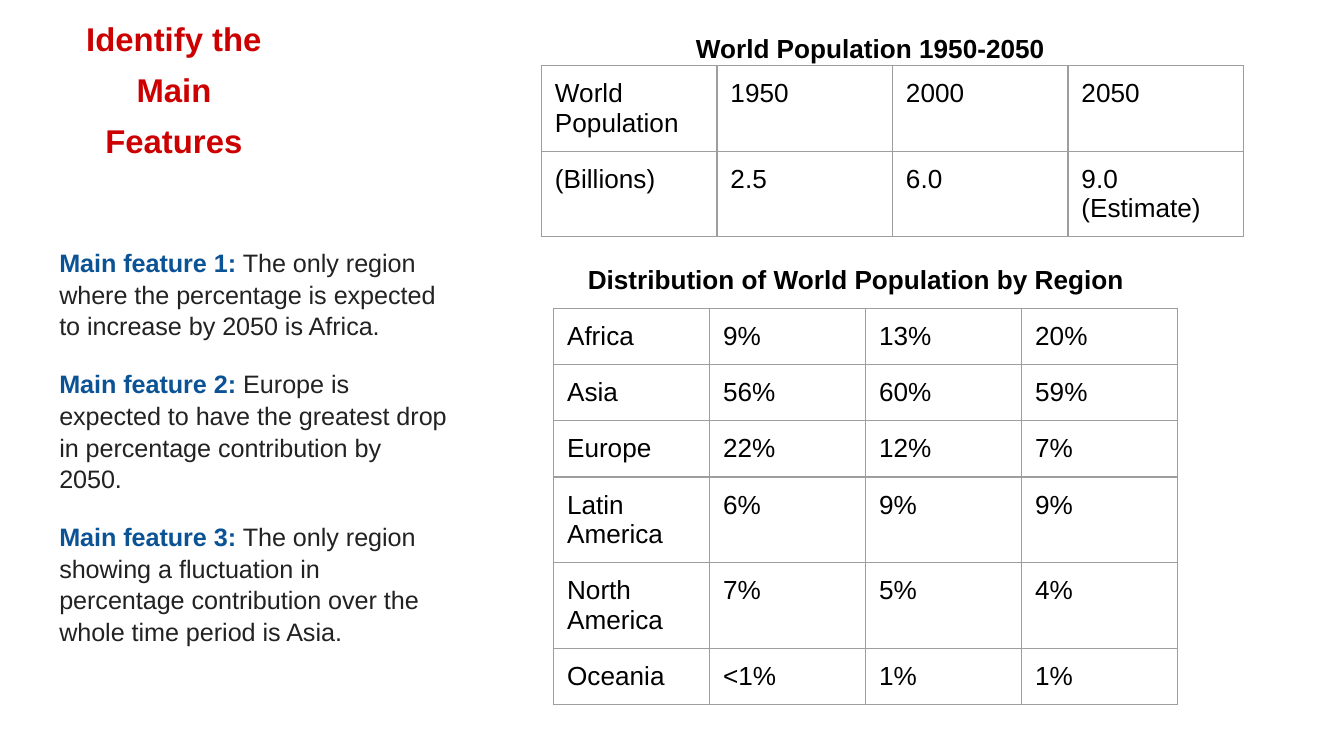
from lxml.etree import SubElement
from pptx import Presentation
from pptx.dml.color import RGBColor
from pptx.enum.text import MSO_ANCHOR, MSO_AUTO_SIZE, PP_ALIGN
from pptx.oxml.ns import qn
from pptx.util import Pt

COLORS = {
    "title": "CC0000",
    "label": "0B5394",
    "body": "222222",
    "table": "000000",
    "border": "9E9E9E",
}


def add_text(paragraph, text, size=14, color="table", bold=False):
    run = paragraph.add_run()
    run.text = text
    run.font.name = "Arial"
    run.font.size = Pt(size)
    run.font.bold = bold
    run.font.color.rgb = RGBColor.from_string(COLORS[color])


class FeatureSlide:
    inset = Pt(7.2)
    border_width = Pt(0.75)
    table_frame = Pt(236.2)

    def __init__(self, presentation):
        self.slide = presentation.slides.add_slide(presentation.slide_layouts[5])

    def prepare(self, frame, top_inset=inset):
        frame.word_wrap = True
        frame.auto_size = MSO_AUTO_SIZE.NONE
        frame.vertical_anchor = MSO_ANCHOR.TOP
        frame.margin_left = frame.margin_right = frame.margin_bottom = self.inset
        frame.margin_top = top_inset

    def title(self, text, left, top, width, height):
        heading = self.slide.shapes.title
        heading.left, heading.top = Pt(left), Pt(top)
        heading.width, heading.height = Pt(width), Pt(height)
        self.prepare(heading.text_frame)
        paragraph = heading.text_frame.paragraphs[0]
        paragraph._p.get_or_add_pPr().set("marL", str(Pt(2.2)))
        paragraph.alignment = PP_ALIGN.CENTER
        paragraph.line_spacing = 1.3
        add_text(paragraph, text, size=17.6, color="title", bold=True)

    def features(self, findings, left, top, width, height):
        box = self.slide.shapes.add_textbox(Pt(left), Pt(top), Pt(width), Pt(height))
        frame = box.text_frame
        self.prepare(frame, top_inset=Pt(41))
        for number, finding in enumerate(findings, 1):
            paragraph = frame.paragraphs[0] if number == 1 else frame.add_paragraph()
            paragraph.line_spacing = 1.05
            if number > 1:
                paragraph.space_before = Pt(14)
            add_text(paragraph, f"Main feature {number}:", size=13.5, color="label", bold=True)
            add_text(paragraph, f" {finding}", size=13.5, color="body")

    def caption(self, text, left, top, width, height):
        box = self.slide.shapes.add_textbox(Pt(left), Pt(top), Pt(width), Pt(height))
        self.prepare(box.text_frame)
        add_text(box.text_frame.paragraphs[0], text, bold=True)

    def table(self, rows, left, top, column_width, row_height):
        holder = self.slide.shapes.add_table(
            len(rows), len(rows[0]), Pt(left), Pt(top), self.table_frame, self.table_frame
        )
        grid = holder.table
        grid.first_row = grid.horz_banding = False
        for column in grid.columns:
            column.width = Pt(column_width)
        for row, values in zip(grid.rows, rows):
            row.height = Pt(row_height)
            for cell, value in zip(row.cells, values):
                self.cell(cell, value)
        holder.width = holder.height = self.table_frame

    def cell(self, cell, value):
        cell.margin_left = cell.margin_right = self.inset
        cell.margin_top = cell.margin_bottom = self.inset
        properties = cell._tc.get_or_add_tcPr()
        for side in ("lnL", "lnR", "lnT", "lnB"):
            line = SubElement(properties, qn(f"a:{side}"), w=str(self.border_width))
            fill = SubElement(line, qn("a:solidFill"))
            SubElement(fill, qn("a:srgbClr"), val=COLORS["border"])
        cell.fill.background()
        add_text(cell.text_frame.paragraphs[0], value)


def main():
    presentation = Presentation()
    presentation.slide_width, presentation.slide_height = Pt(720), Pt(405)
    page = FeatureSlide(presentation)

    page.title("Identify the Main Features", 30.6, -3.6, 123, 45.4)
    page.features(
        [
            "The only region where the percentage is expected to increase by 2050 is Africa.",
            "Europe is expected to have the greatest drop in percentage contribution by 2050.",
            "The only region showing a fluctuation in percentage contribution "
            "over the whole time period is Asia.",
        ],
        24.7, 90.7, 223.2, 269.3,
    )
    page.table(
        [
            ["World Population", "1950", "2000", "2050"],
            ["(Billions)", "2.5", "6.0", "9.0 (Estimate)"],
        ],
        290.1, 35.1, 94.05, 37.5,
    )
    page.table(
        [
            ["Africa", "9%", "13%", "20%"],
            ["Asia", "56%", "60%", "59%"],
            ["Europe", "22%", "12%", "7%"],
            ["Latin America", "6%", "9%", "9%"],
            ["North America", "7%", "5%", "4%"],
            ["Oceania", "<1%", "1%", "1%"],
        ],
        296.6, 165.1, 83.6, 22.5,
    )
    page.caption("World Population 1950-2050", 365.7, 10, 212.4, 31.7)
    page.caption("Distribution of World Population by Region", 307.8, 134, 311.8, 31.7)
    presentation.save("out.pptx")


if __name__ == "__main__":
    main()
